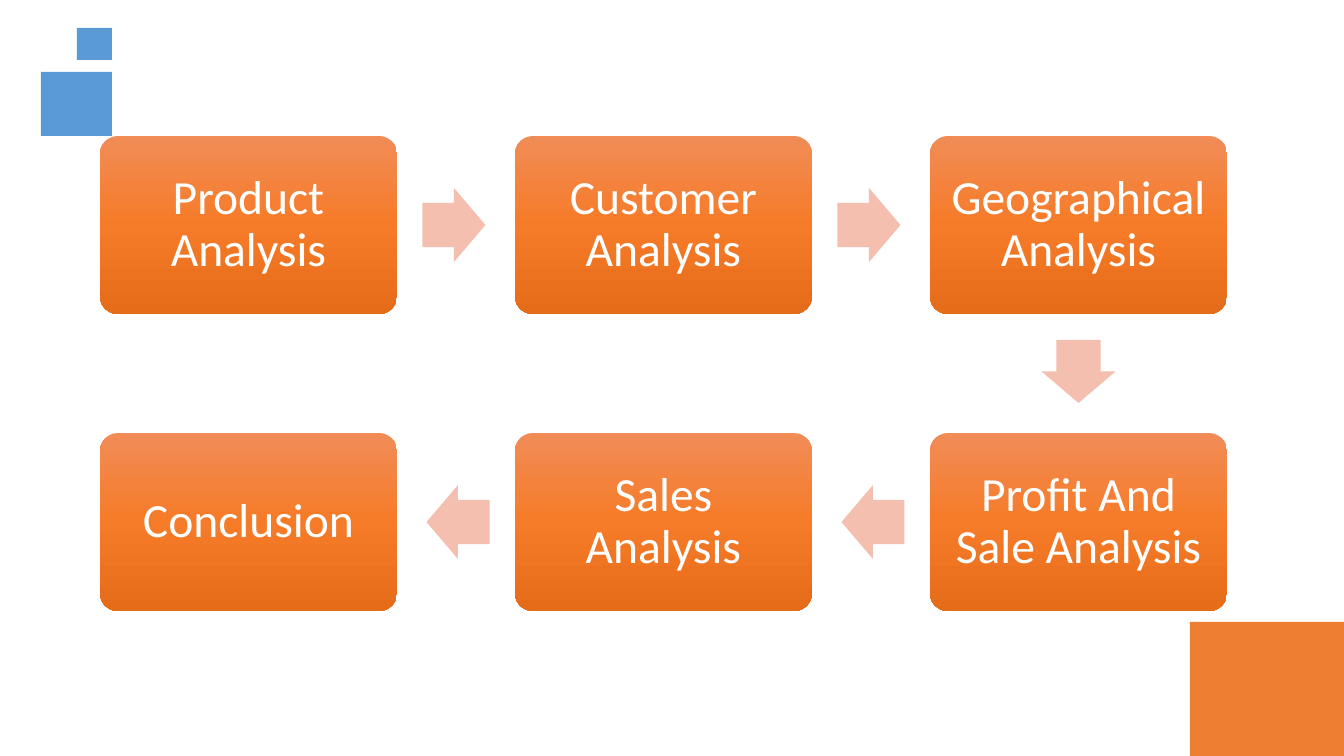
import copy

import pptx
import pptx.dml.color
import pptx.enum.shapes
import pptx.enum.text
import pptx.oxml.ns
import pptx.util

RGBColor = pptx.dml.color.RGBColor
Preset = pptx.enum.shapes.MSO_SHAPE

BLUE = RGBColor(0x5B, 0x9B, 0xD5)
ORANGE = RGBColor(0xED, 0x7D, 0x31)
PINK = RGBColor(0xF4, 0xBF, 0xAE)
WHITE = RGBColor(0xFF, 0xFF, 0xFF)
GRADIENT = [
    (0, RGBColor(0xF1, 0x8C, 0x57)),
    (0.5, RGBColor(0xF6, 0x7B, 0x28)),
    (1, RGBColor(0xE5, 0x6C, 0x19)),
]

DECORATIONS = [
    (41, 72, 71, 64, BLUE),
    (77, 28, 35, 32, BLUE),
    (1190, 622, 154, 134, ORANGE),
]
STEPS = [
    ("Product Analysis", 0, 0),
    ("Customer Analysis", 1, 0),
    ("Geographical Analysis", 2, 0),
    ("Profit And Sale Analysis", 2, 1),
    ("Sales Analysis", 1, 1),
    ("Conclusion", 0, 1),
]
ROTATIONS = {(1, 0): 0, (0, 1): 90, (-1, 0): 180}

SLIDE_WIDTH, SLIDE_HEIGHT = 1344, 756
GRID_LEFT, GRID_TOP = 100, 136
COLUMN_PITCH, ROW_PITCH = 415, 297
BOX_WIDTH, BOX_HEIGHT = 297, 178
ARROW_WIDTH, ARROW_HEIGHT = 63, 74
ARROW_PULLBACK = 2
TEXT_INSET = 14


def px(length):
    return pptx.util.Emu(round(length * 914400 / 100.8))


def add_plain_shape(slide, preset, left, top, width, height, color=None):
    shape = slide.shapes.add_shape(preset, px(left), px(top), px(width), px(height))
    shape.shadow.inherit = False
    shape.line.fill.background()
    if color is not None:
        shape.fill.solid()
        shape.fill.fore_color.rgb = color
    return shape


def fill_with_gradient(shape):
    shape.fill.gradient()
    shape.fill.gradient_angle = 270
    stop_list = shape._element.spPr.find(".//" + pptx.oxml.ns.qn("a:gsLst"))
    stop_list.insert(1, copy.deepcopy(stop_list[0]))
    for stop, (position, color) in zip(shape.fill.gradient_stops, GRADIENT):
        stop.position = position
        stop.color.rgb = color


def add_step(slide, label, column, row):
    left = GRID_LEFT + column * COLUMN_PITCH
    top = GRID_TOP + row * ROW_PITCH
    box = add_plain_shape(slide, Preset.ROUNDED_RECTANGLE, left, top, BOX_WIDTH, BOX_HEIGHT)
    box.adjustments[0] = 0.1
    fill_with_gradient(box)
    frame = box.text_frame
    frame.word_wrap = True
    frame.vertical_anchor = pptx.enum.text.MSO_ANCHOR.MIDDLE
    frame.margin_left = frame.margin_right = px(TEXT_INSET)
    frame.margin_top = frame.margin_bottom = px(TEXT_INSET)
    paragraph = frame.paragraphs[0]
    paragraph.alignment = pptx.enum.text.PP_ALIGN.CENTER
    paragraph.line_spacing = 0.9
    run = paragraph.add_run()
    run.text = label
    run.font.name = "Calibri"
    run.font.size = pptx.util.Pt(34)
    run.font.color.rgb = WHITE


def add_arrow(slide, start, end):
    (column, row), (next_column, next_row) = start, end
    direction = (next_column - column, next_row - row)
    center_x = GRID_LEFT + (column + next_column) / 2 * COLUMN_PITCH + BOX_WIDTH / 2
    center_y = GRID_TOP + (row + next_row) / 2 * ROW_PITCH + BOX_HEIGHT / 2
    left = center_x - direction[0] * ARROW_PULLBACK - ARROW_WIDTH / 2
    top = center_y - direction[1] * ARROW_PULLBACK - ARROW_HEIGHT / 2
    arrow = add_plain_shape(slide, Preset.RIGHT_ARROW, left, top, ARROW_WIDTH, ARROW_HEIGHT, PINK)
    arrow.adjustments[0] = 0.6
    arrow.adjustments[1] = 0.5
    arrow.rotation = ROTATIONS[direction]


def main():
    presentation = pptx.Presentation()
    presentation.slide_width = px(SLIDE_WIDTH)
    presentation.slide_height = px(SLIDE_HEIGHT)
    slide = presentation.slides.add_slide(presentation.slide_layouts[6])
    for left, top, width, height, color in DECORATIONS:
        add_plain_shape(slide, Preset.RECTANGLE, left, top, width, height, color)
    for label, column, row in STEPS:
        add_step(slide, label, column, row)
    for start, end in zip(STEPS, STEPS[1:]):
        add_arrow(slide, start[1:], end[1:])
    presentation.save("out.pptx")


if __name__ == "__main__":
    main()
